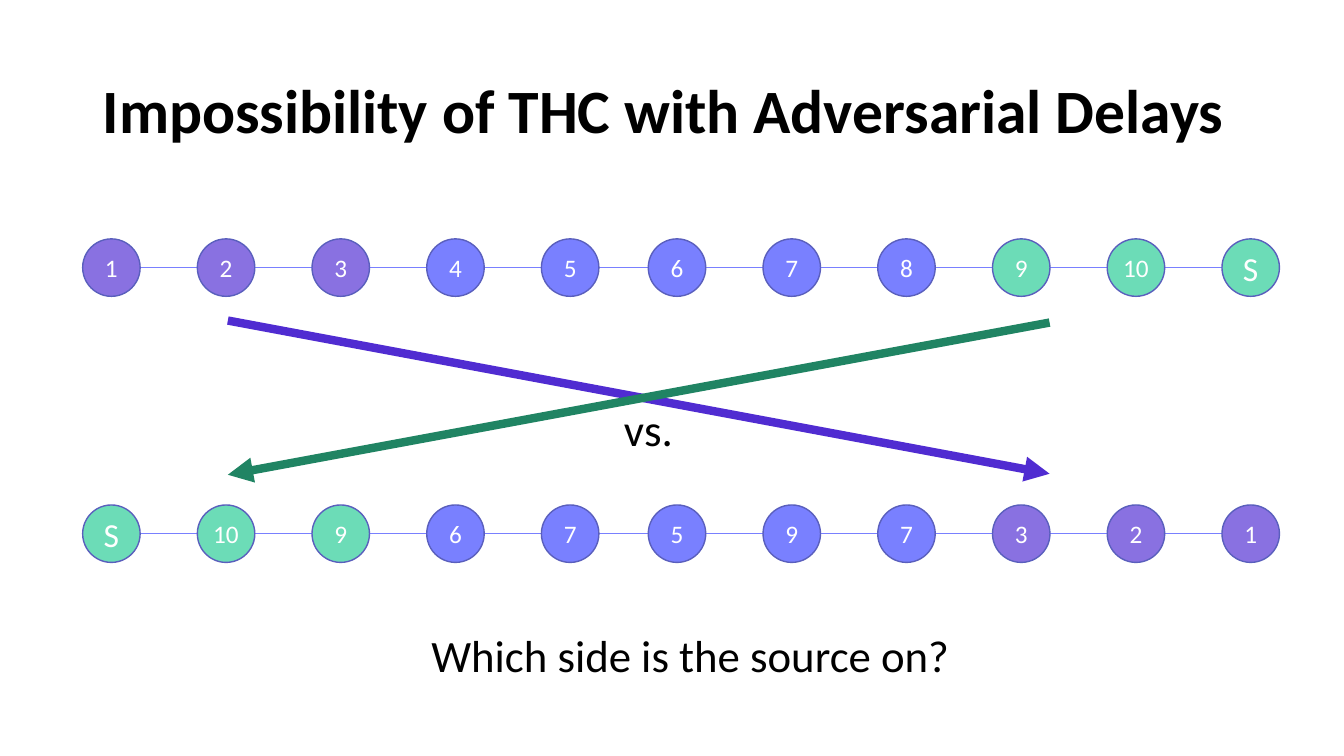
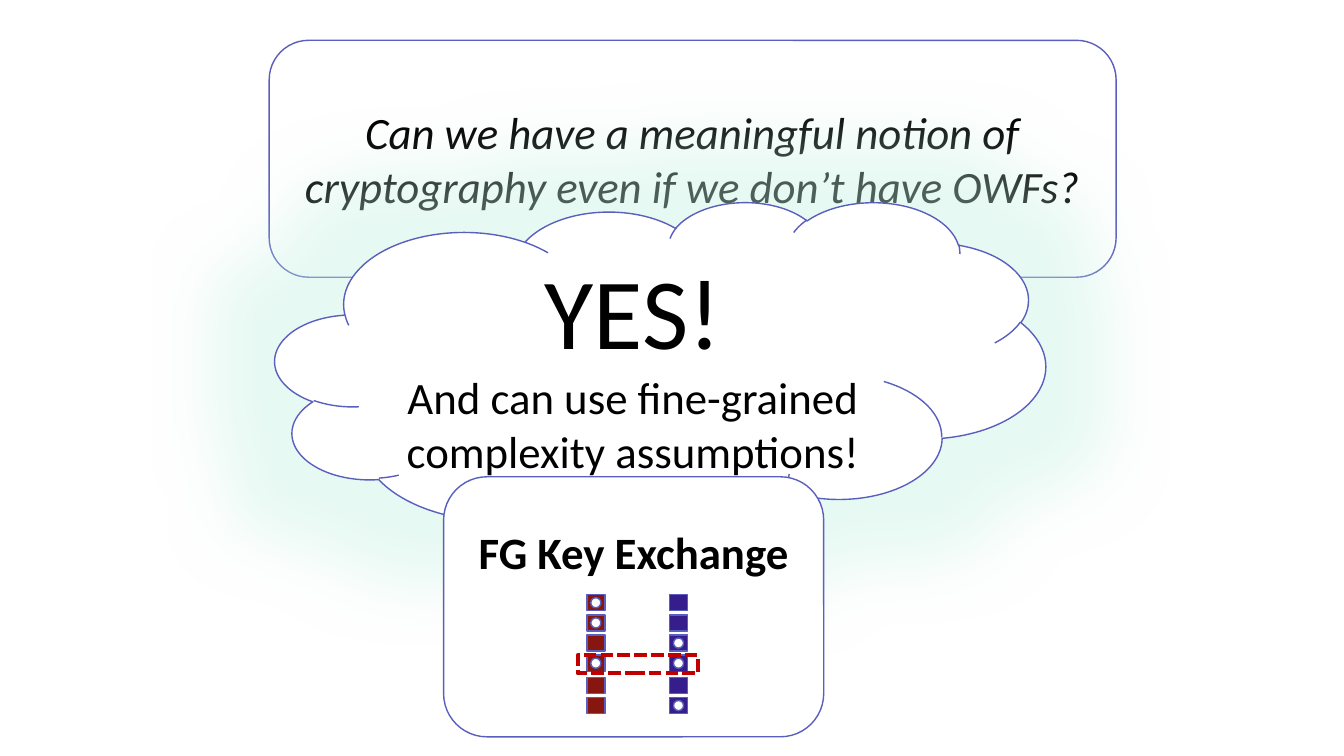
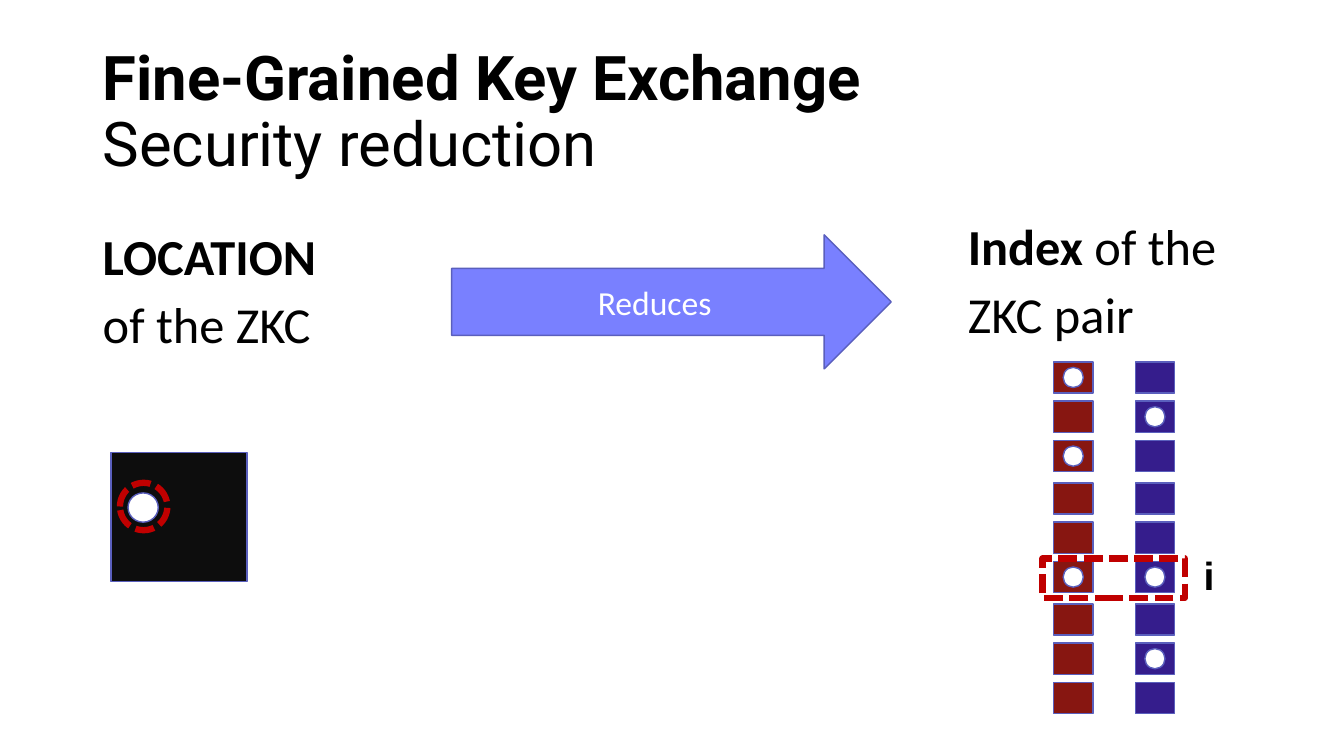
from dataclasses import dataclass
from itertools import pairwise

from lxml import etree
from pptx import Presentation
from pptx.dml.color import RGBColor
from pptx.enum.dml import MSO_LINE
from pptx.enum.shapes import MSO_CONNECTOR, MSO_SHAPE
from pptx.enum.text import MSO_ANCHOR, PP_ALIGN
from pptx.oxml.ns import qn
from pptx.util import Inches, Pt

STRAIGHT = MSO_CONNECTOR.STRAIGHT
OVAL, RECT, ROUNDED = MSO_SHAPE.OVAL, MSO_SHAPE.RECTANGLE, MSO_SHAPE.ROUNDED_RECTANGLE
CLOUD, RIGHT_ARROW = MSO_SHAPE.CLOUD, MSO_SHAPE.RIGHT_ARROW
TOP, MIDDLE = MSO_ANCHOR.TOP, MSO_ANCHOR.MIDDLE
LEFT, CENTER = PP_ALIGN.LEFT, PP_ALIGN.CENTER
SHORT_DASH = MSO_LINE.SQUARE_DOT


@dataclass(frozen=True)
class Theme:
    black: str = "000000"
    white: str = "FFFFFF"
    outline: str = "5A5FBD"
    blue: str = "7980FF"
    purple: str = "8971E1"
    green: str = "6CDCB7"
    deep_purple: str = "502CD1"
    deep_green: str = "208463"
    red_cell: str = "871611"
    blue_cell: str = "351D8C"
    dark: str = "0D0D0D"
    marker: str = "C00000"
    glow: str = "C4F1E2"
    body_font: str = "Calibri"
    title_font: str = "Roboto"
    index_font: str = "Arial"
    exclaim: float = 72
    title: float = 44
    heading: float = 36
    body: float = 32
    index: float = 28
    label: float = 24
    node: float = 18


THEME = Theme()


@dataclass(frozen=True)
class Box:
    left: float
    top: float
    width: float
    height: float

    def inches(self):
        return [Inches(v) for v in (self.left, self.top, self.width, self.height)]


@dataclass(frozen=True)
class Run:
    text: str
    bold: bool = False
    size: float | None = None


@dataclass(frozen=True)
class NodeGroup:
    color: str
    labels: tuple[str, ...]


@dataclass(frozen=True)
class CellColumn:
    left: float
    color: str
    zero_rows: tuple[int, ...]


@dataclass(frozen=True)
class CellLists:
    columns: tuple[CellColumn, ...]
    top: float
    rows: int
    width: float
    height: float
    dot: float
    pitch: float
    block: int
    block_gap: float


TITLE_BOX = Box(0.92, 0.4, 11.5, 1.45)
NODE_SIZE = 0.57
NODE_LEFTS = [0.82 + 1.1375 * i for i in range(5)] + [6.43 + 1.138 * i for i in range(6)]


def rgb(color: str) -> RGBColor:
    return RGBColor.from_string(color)


def write(frame, *paragraphs: list[Run], size: float, font: str = THEME.body_font,
          color: str = THEME.black, italic: bool = False, align=LEFT, anchor=TOP,
          wrap: bool = True, spacing: float | None = None, gap: float = 0,
          margin_top: float = 0.05) -> None:
    frame.word_wrap = wrap
    frame.vertical_anchor = anchor
    frame.margin_top = Inches(margin_top)
    for number, runs in enumerate(paragraphs):
        paragraph = frame.add_paragraph() if number else frame.paragraphs[0]
        paragraph.alignment = align
        if spacing:
            paragraph.line_spacing = spacing
        if number and gap:
            paragraph.space_before = Pt(gap)
        for item in runs:
            run = paragraph.add_run()
            run.text = item.text.rstrip("\n")
            run.font.name = font
            run.font.size = Pt(item.size or size)
            run.font.bold = item.bold
            run.font.italic = italic
            run.font.color.rgb = rgb(color)
            if item.text.endswith("\n"):
                paragraph.add_line_break()


def add_text(slide, box: Box, *paragraphs: list[Run], **style) -> None:
    write(slide.shapes.add_textbox(*box.inches()).text_frame, *paragraphs, **style)


def add_title(slide, *runs: Run, font: str = THEME.body_font) -> None:
    add_text(slide, TITLE_BOX, list(runs), size=THEME.title, font=font,
             anchor=MIDDLE, spacing=0.9)


def add_figure(slide, kind, box: Box, fill: str | None = None,
               line: str = THEME.outline, weight: float = 1):
    figure = slide.shapes.add_shape(kind, *box.inches())
    figure.shadow.inherit = False
    if fill:
        figure.fill.solid()
        figure.fill.fore_color.rgb = rgb(fill)
    else:
        figure.fill.background()
    figure.line.color.rgb = rgb(line)
    figure.line.width = Pt(weight)
    return figure


def add_marker(slide, kind, box: Box, weight: float) -> None:
    marker = add_figure(slide, kind, box, line=THEME.marker, weight=weight)
    marker.line.dash_style = SHORT_DASH


def add_line(slide, start: tuple[float, float], end: tuple[float, float],
             color: str, weight: float, arrow: bool = False) -> None:
    points = [Inches(v) for v in (*start, *end)]
    connector = slide.shapes.add_connector(STRAIGHT, *points)
    connector.line.color.rgb = rgb(color)
    connector.line.width = Pt(weight)
    properties = connector._element.spPr
    if arrow:
        etree.SubElement(properties.find(qn("a:ln")), qn("a:tailEnd"), type="triangle")
    etree.SubElement(properties, qn("a:effectLst"))


def add_glow(figure, color: str, radius: float, opacity: int) -> None:
    effects = figure._element.spPr.find(qn("a:effectLst"))
    glow = etree.SubElement(effects, qn("a:glow"), rad=str(Inches(radius)))
    tint = etree.SubElement(glow, qn("a:srgbClr"), val=color)
    etree.SubElement(tint, qn("a:alpha"), val=str(opacity * 1000))


def add_chain(slide, top: float, groups: list[NodeGroup], bold_links: tuple[int, ...]) -> None:
    middle = top + NODE_SIZE / 2
    for number, (left, following) in enumerate(pairwise(NODE_LEFTS)):
        add_line(slide, (left + NODE_SIZE, middle), (following, middle),
                 THEME.blue, 1 if number in bold_links else 0.5)
    nodes = [(group.color, label) for group in groups for label in group.labels]
    for left, (color, label) in zip(NODE_LEFTS, nodes):
        node = add_figure(slide, OVAL, Box(left, top, NODE_SIZE, NODE_SIZE), color)
        write(node.text_frame, [Run(label)], color=THEME.white, align=CENTER,
              size=THEME.label if label == "S" else THEME.node, anchor=MIDDLE, wrap=False)


def add_cell_lists(slide, lists: CellLists) -> None:
    for column in lists.columns:
        for row in range(lists.rows):
            top = lists.top + row * lists.pitch + row // lists.block * lists.block_gap
            add_figure(slide, RECT, Box(column.left, top, lists.width, lists.height),
                       column.color)
            if row in column.zero_rows:
                add_figure(slide, OVAL,
                           Box(column.left + (lists.width - lists.dot) / 2,
                               top + (lists.height - lists.dot) / 2, lists.dot, lists.dot),
                           THEME.white)


def build_impossibility(slide) -> None:
    add_title(slide, Run("Impossibility of THC with Adversarial Delays", bold=True))
    add_text(slide, Box(4.18, 6.18, 5.5, 0.64), [Run("Which side is the source on?")],
             size=THEME.body, wrap=False)
    add_chain(slide, 2.37, [
        NodeGroup(THEME.purple, ("1", "2", "3")),
        NodeGroup(THEME.blue, ("4", "5", "6", "7", "8")),
        NodeGroup(THEME.green, ("9", "10", "S")),
    ], bold_links=(0, 1))
    add_text(slide, Box(6.09, 3.94, 0.69, 0.64), [Run("vs.")], size=THEME.body, wrap=False)
    add_chain(slide, 5.01, [
        NodeGroup(THEME.green, ("S", "10", "9")),
        NodeGroup(THEME.blue, ("6", "7", "5", "9", "7")),
        NodeGroup(THEME.purple, ("3", "2", "1")),
    ], bold_links=(8, 9))
    add_line(slide, (2.26, 3.18), (10.41, 4.7), THEME.deep_purple, 6, arrow=True)
    add_line(slide, (10.41, 3.2), (2.26, 4.71), THEME.deep_green, 6, arrow=True)


def build_answer(slide) -> None:
    question = add_figure(slide, ROUNDED, Box(2.67, 0.4, 8.4, 2.35), THEME.white)
    write(question.text_frame,
          [Run("Can we have a meaningful notion of cryptography even if we don’t have OWFs?")],
          size=THEME.body, italic=True, align=CENTER, anchor=MIDDLE)
    answer = add_figure(slide, CLOUD, Box(2.73, 2, 7.64, 3.36), THEME.white)
    add_glow(answer, THEME.glow, radius=1.25, opacity=40)
    write(answer.text_frame, [Run("YES!", size=THEME.exclaim)],
          [Run("And can use fine-grained complexity assumptions!")],
          size=THEME.body, align=CENTER, anchor=MIDDLE)
    exchange = add_figure(slide, ROUNDED, Box(4.4, 4.73, 3.77, 2.58), THEME.white)
    write(exchange.text_frame, [Run("FG Key Exchange", bold=True)],
          size=THEME.body, align=CENTER, margin_top=0.35)
    add_cell_lists(slide, CellLists(
        (CellColumn(5.82, THEME.red_cell, (0, 1, 3)),
         CellColumn(6.64, THEME.blue_cell, (2, 3, 5))),
        top=5.9, rows=6, width=0.18, height=0.16, dot=0.1,
        pitch=0.2, block=4, block_gap=0.02))
    add_marker(slide, RECT, Box(5.73, 6.5, 1.19, 0.18), 3)


def build_reduction(slide) -> None:
    add_title(slide, Run("Fine-Grained Key Exchange\n", bold=True),
              Run("Security reduction"), font=THEME.title_font)
    add_text(slide, Box(0.92, 2.25, 4.62, 0.59), [Run("LOCATION", bold=True)],
             [Run("of the ZKC")], size=THEME.heading, spacing=0.9, gap=10)
    add_figure(slide, RECT, Box(1.1, 4.49, 1.35, 1.28), THEME.dark)
    add_figure(slide, OVAL, Box(1.27, 4.89, 0.3, 0.29), THEME.white)
    add_cell_lists(slide, CellLists(
        (CellColumn(10.45, THEME.red_cell, (0, 2, 5)),
         CellColumn(11.26, THEME.blue_cell, (1, 5, 7))),
        top=3.59, rows=9, width=0.39, height=0.31, dot=0.2,
        pitch=0.39, block=3, block_gap=0.03))
    add_text(slide, Box(9.5, 2.15, 3.98, 0.7), [Run("Index", bold=True), Run(" of the")],
             [Run("ZKC pair")], size=THEME.heading, spacing=0.9, gap=10)
    reduces = add_figure(slide, RIGHT_ARROW, Box(4.48, 2.33, 4.36, 1.33), THEME.blue)
    write(reduces.text_frame, [Run("Reduces")], size=THEME.label, color=THEME.white,
          align=CENTER, anchor=MIDDLE)
    add_marker(slide, OVAL, Box(1.19, 4.79, 0.47, 0.47), 4.5)
    add_marker(slide, RECT, Box(10.34, 5.54, 1.41, 0.39), 4.5)
    add_text(slide, Box(11.84, 5.42, 0.46, 0.57), [Run("i", bold=True)],
             size=THEME.index, font=THEME.index_font)


def main() -> None:
    deck = Presentation()
    deck.slide_width, deck.slide_height = Inches(13.33), Inches(7.5)
    blank = deck.slide_layouts[6]
    for build in (build_impossibility, build_answer, build_reduction):
        build(deck.slides.add_slide(blank))
    deck.save("out.pptx")


if __name__ == "__main__":
    main()
